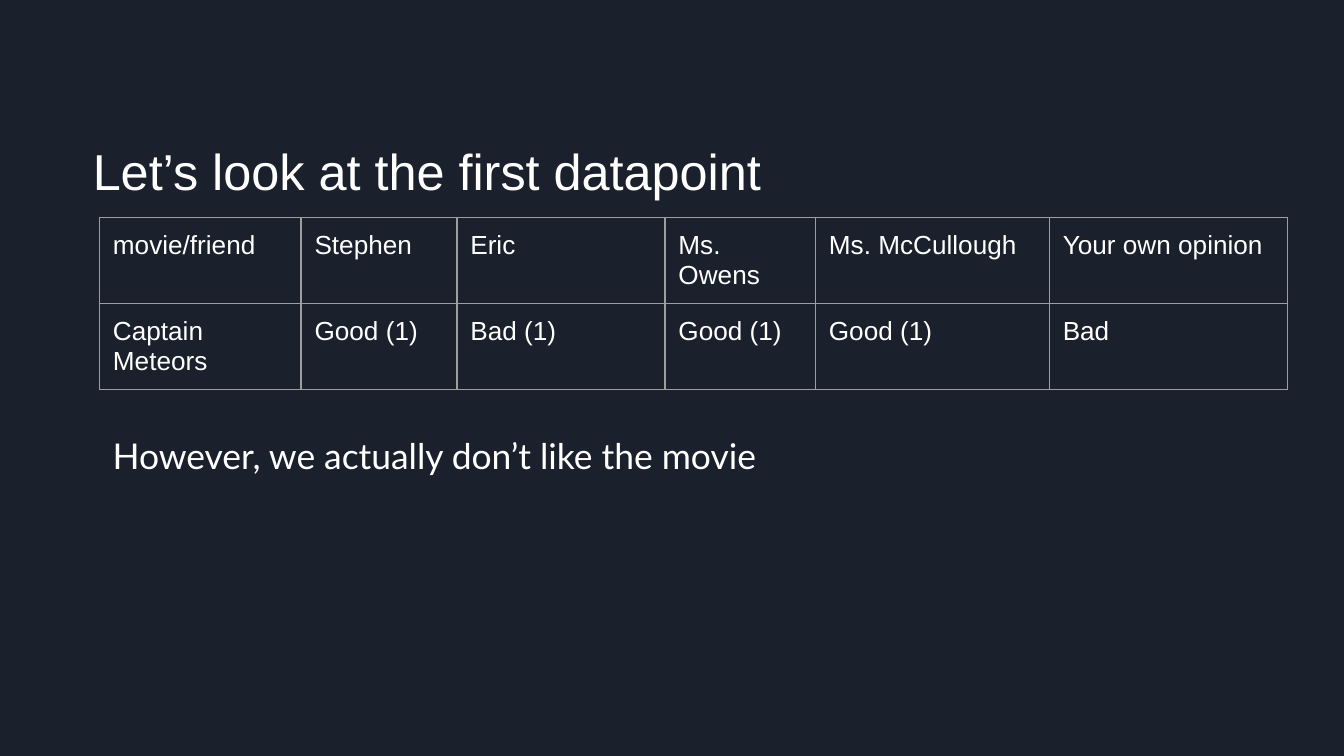
from lxml.etree import SubElement
from pptx import Presentation
from pptx.dml.color import RGBColor
from pptx.enum.text import MSO_ANCHOR as Anchor, PP_ALIGN as Align
from pptx.oxml.ns import qn
from pptx.util import Pt

NAVY = RGBColor(0x1B, 0x21, 0x2C)
WHITE = RGBColor(0xFF, 0xFF, 0xFF)
GRAY = RGBColor(0x9E, 0x9E, 0x9E)
INSET = Pt(7.2)


def add_span(para, text, size, font):
    span = para.add_run()
    span.text = text
    span.font.size = Pt(size)
    span.font.name = font
    span.font.color.rgb = WHITE


def format_frame(frame, anchor):
    frame.word_wrap = True
    frame.vertical_anchor = anchor
    frame.margin_left = frame.margin_right = INSET
    frame.margin_top = frame.margin_bottom = INSET
    para = frame.paragraphs[0]
    para.alignment = Align.LEFT
    para.space_after = Pt(16)
    return para


deck = Presentation()
deck.slide_width, deck.slide_height = Pt(720), Pt(405)
page = deck.slides.add_slide(deck.slide_layouts[5])
page.background.fill.solid()
page.background.fill.fore_color.rgb = NAVY

title = page.shapes.title
title.left, title.top, title.width, title.height = Pt(42.5), Pt(56.2), Pt(456.5), Pt(60.5)
para = format_frame(title.text_frame, Anchor.BOTTOM)
add_span(para, "Let’s look at the first datapoint", 27, "Arial")
add_span(para, " ", 36, "Arial")

ratings = [
    ["movie/friend", "Stephen", "Eric", "Ms. Owens", "Ms. McCullough", "Your own opinion"],
    ["Captain Meteors", "Good (1)", "Bad (1)", "Good (1)", "Good (1)", "Bad"],
]
widths = [108, 83.5, 111.5, 80.6, 125.3, 127.4]
row_height = 46
table = page.shapes.add_table(
    len(ratings), len(widths), Pt(53.3), Pt(116.6), Pt(sum(widths)), Pt(row_height * len(ratings))
).table
table.first_row = table.horz_banding = False
for column, width in zip(table.columns, widths):
    column.width = Pt(width)
for row, texts in zip(table.rows, ratings):
    row.height = Pt(row_height)
    for cell, text in zip(row.cells, texts):
        cell.margin_left = cell.margin_right = INSET
        cell.margin_top = cell.margin_bottom = INSET
        add_span(cell.text_frame.paragraphs[0], text, 14, "Arial")
        properties = cell._tc.get_or_add_tcPr()
        for side in ("a:lnL", "a:lnR", "a:lnT", "a:lnB"):
            border = SubElement(properties, qn(side), w=str(Pt(0.75)))
            paint = SubElement(border, qn("a:solidFill"))
            SubElement(paint, qn("a:srgbClr"), val=str(GRAY))
        cell.fill.background()

box = page.shapes.add_textbox(Pt(53.3), Pt(221.8), Pt(568), Pt(170))
para = format_frame(box.text_frame, Anchor.TOP)
para.line_spacing = 1.15
add_span(para, "However, we actually don’t like the movie", 19, "Lato")

deck.save("out.pptx")
